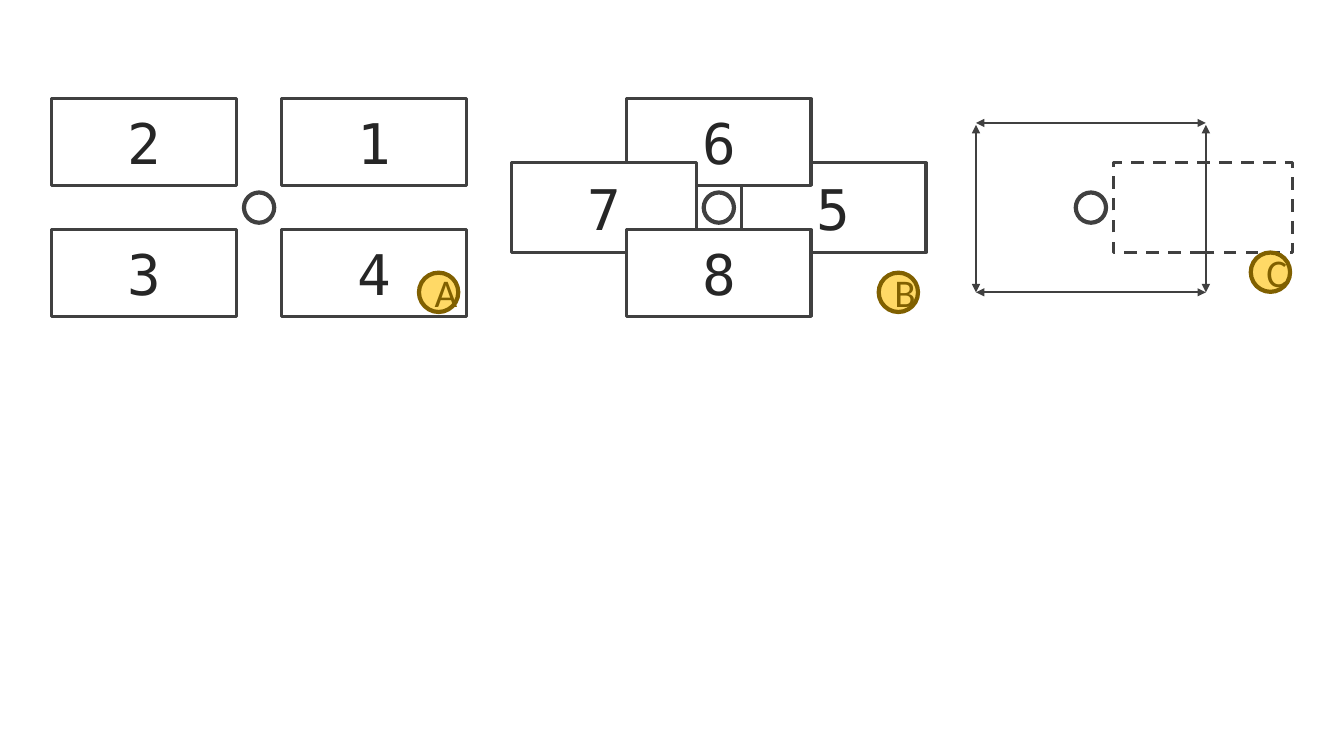
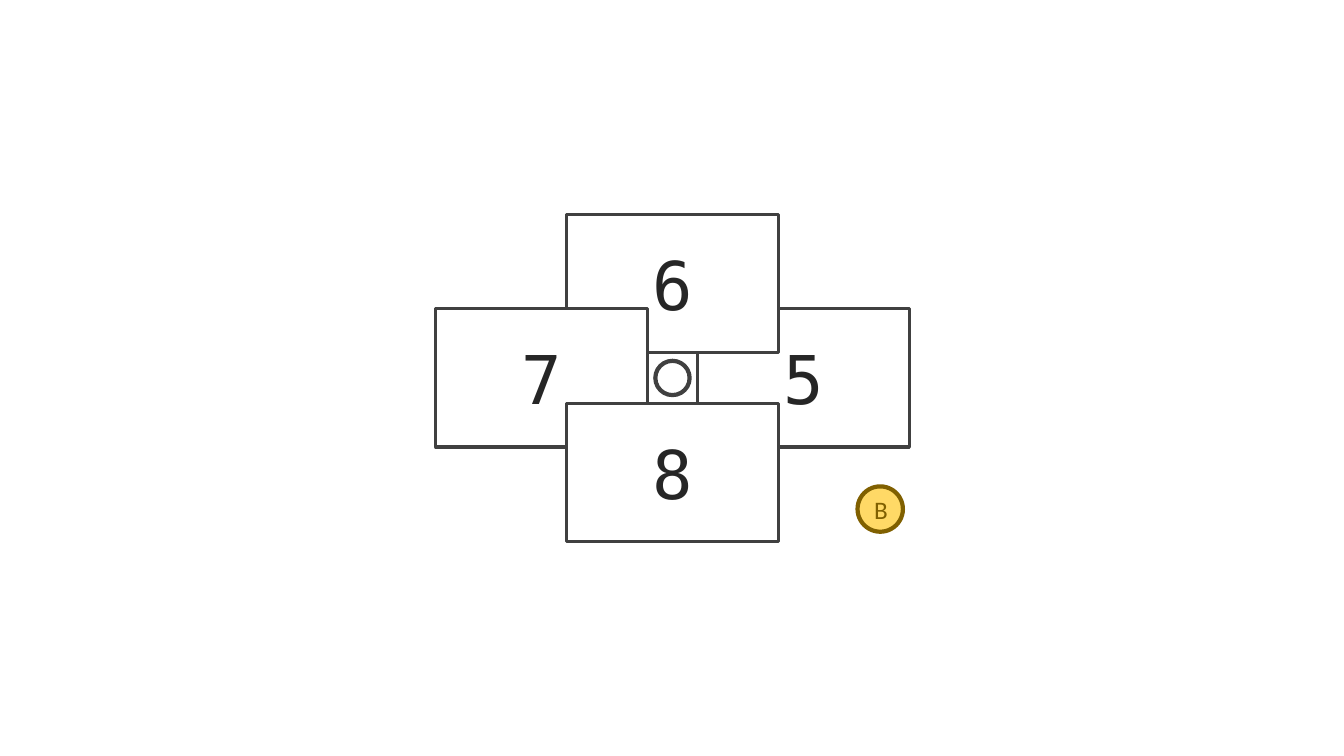
import pptx
import pptx.util
import pptx.dml.color
import pptx.enum.dml
import pptx.enum.shapes
import pptx.enum.text
import pptx.oxml

Inches, Pt = pptx.util.Inches, pptx.util.Pt
RGB = pptx.dml.color.RGBColor
SHAPE = pptx.enum.shapes.MSO_SHAPE
ALIGN = pptx.enum.text.PP_ALIGN

OUTLINE = RGB(0x40, 0x40, 0x40)
INK = RGB(0x26, 0x26, 0x26)
WHITE = RGB(0xFF, 0xFF, 0xFF)
GOLD = RGB(0xFF, 0xD9, 0x66)
BROWN = RGB(0x80, 0x60, 0x00)
CARD_FONT, BADGE_FONT = "DejaVu Sans Mono", "Calibri"

# Cards back to front: label, column and row step from the centre.
# "hub" marks where the centre circle sits in the stack.
CORNERS = ["hub", ("2", -1, -1), ("1", 1, -1), ("4", 1, 1), ("3", -1, 1)]
CROSS = [("5", 1, 0), ("6", 0, -1), "hub", ("7", -1, 0), ("8", 0, 1)]

# Sizes in inches: card (w, h), side card h, step (dx, dy), hub, badge,
# badge offset; text sizes in points
SMALL = dict(card=(1.83, 0.86), side_h=0.89, step=(1.14, 0.65), hub=0.3,
             badge=0.39, offset=(1.78, 0.84), card_pt=40, badge_pt=28,
             badge_align=ALIGN.CENTER)
LARGE = dict(card=(2.1, 1.37), side_h=1.37, step=(1.3, 0.94), hub=0.34,
             badge=0.45, offset=(2.06, 1.3), card_pt=48, badge_pt=18,
             badge_align=ALIGN.LEFT)

# Each slide: (badge, centre, cards, style)
SLIDES = [
    [("A", (2.57, 2.06), CORNERS, SMALL), ("B", (7.13, 2.06), CROSS, SMALL)],
    [("B", (6.67, 3.75), CROSS, LARGE)],
]
FRAME_CENTRE, FRAME_HALF = (10.82, 2.06), (1.14, 0.84)


def add_box(slide, kind, cx, cy, w, h, fill=WHITE, line=OUTLINE, width=2.25):
    """Add a shape centred on (cx, cy)."""
    sp = slide.shapes.add_shape(kind, Inches(cx - w / 2), Inches(cy - h / 2),
                                Inches(w), Inches(h))
    sp.shadow.inherit = False
    if fill is None:
        sp.fill.background()
    else:
        sp.fill.solid()
        sp.fill.fore_color.rgb = fill
    sp.line.color.rgb = line
    sp.line.width = Pt(width)
    return sp


def set_label(sp, text, size, font, color, align=ALIGN.CENTER):
    p = sp.text_frame.paragraphs[0]
    p.text = text
    p.alignment = align
    f = p.runs[0].font
    f.size, f.name, f.color.rgb = Pt(size), font, color


def add_hub(slide, cx, cy, size, fill=WHITE):
    add_box(slide, SHAPE.OVAL, cx, cy, size, size, fill, width=3)


def add_badge(slide, text, cx, cy, style):
    size = style["badge"]
    sp = add_box(slide, SHAPE.OVAL, cx, cy, size, size, GOLD, BROWN, 3)
    set_label(sp, text, style["badge_pt"], BADGE_FONT, BROWN,
              style["badge_align"])


def add_cards(slide, badge, centre, cards, style):
    cx, cy = centre
    dx, dy = style["step"]
    w, h = style["card"]
    for card in cards:
        if card == "hub":
            add_hub(slide, cx, cy, style["hub"],
                    None if cards is CORNERS else WHITE)
            continue
        text, col, row = card
        sp = add_box(slide, SHAPE.RECTANGLE, cx + col * dx, cy + row * dy,
                     w, h if row else style["side_h"])
        set_label(sp, text, style["card_pt"], CARD_FONT, INK)
    ox, oy = style["offset"]
    add_badge(slide, badge, cx + ox, cy + oy, style)


def add_arrow(shapes, x1, y1, x2, y2):
    """Add a line with an arrowhead at both ends."""
    ln = shapes.add_connector(pptx.enum.shapes.MSO_CONNECTOR.STRAIGHT,
                              *map(Inches, (x1, y1, x2, y2)))
    ln.line.color.rgb = OUTLINE
    ln.line.width = Pt(1.5)
    ns = 'xmlns:a="http://schemas.openxmlformats.org/drawingml/2006/main"'
    outline = ln.line._get_or_add_ln()
    for end in ("headEnd", "tailEnd"):
        outline.append(pptx.oxml.parse_xml(f'<a:{end} {ns} type="triangle"/>'))
    ln._element.spPr.append(pptx.oxml.parse_xml(f"<a:effectLst {ns}/>"))


def add_range(slide):
    """Add the arrow frame with its hub and dashed card."""
    cx, cy = FRAME_CENTRE
    add_hub(slide, cx, cy, SMALL["hub"])
    sp = add_box(slide, SHAPE.RECTANGLE, cx + 1.11, cy, 1.78, SMALL["side_h"])
    sp.line.dash_style = pptx.enum.dml.MSO_LINE.DASH
    hx, hy = FRAME_HALF
    left, right, top, bottom = cx - hx, cx + hx, cy - hy, cy + hy
    frame = slide.shapes.add_group_shape().shapes
    for y in (top, bottom):
        add_arrow(frame, left, y, right, y)
    for x in (left, right):
        add_arrow(frame, x, bottom, x, top + 0.02)
    add_badge(slide, "C", cx + SMALL["offset"][0], cy + 0.64, SMALL)


def main():
    prs = pptx.Presentation()
    prs.slide_width, prs.slide_height = Inches(13.33), Inches(7.5)
    for layouts in SLIDES:
        slide = prs.slides.add_slide(prs.slide_layouts[6])
        for layout in layouts:
            add_cards(slide, *layout)
    add_range(prs.slides[0])
    prs.save("out.pptx")


if __name__ == "__main__":
    main()
